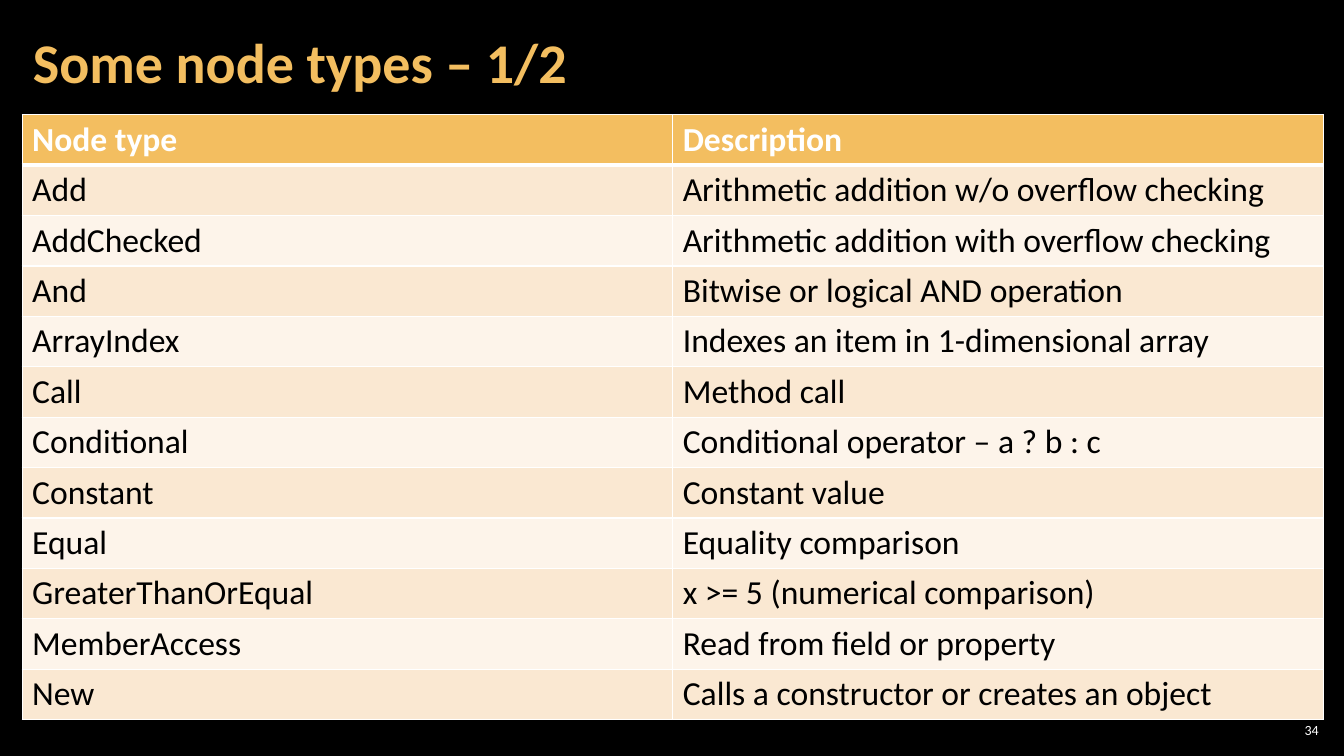
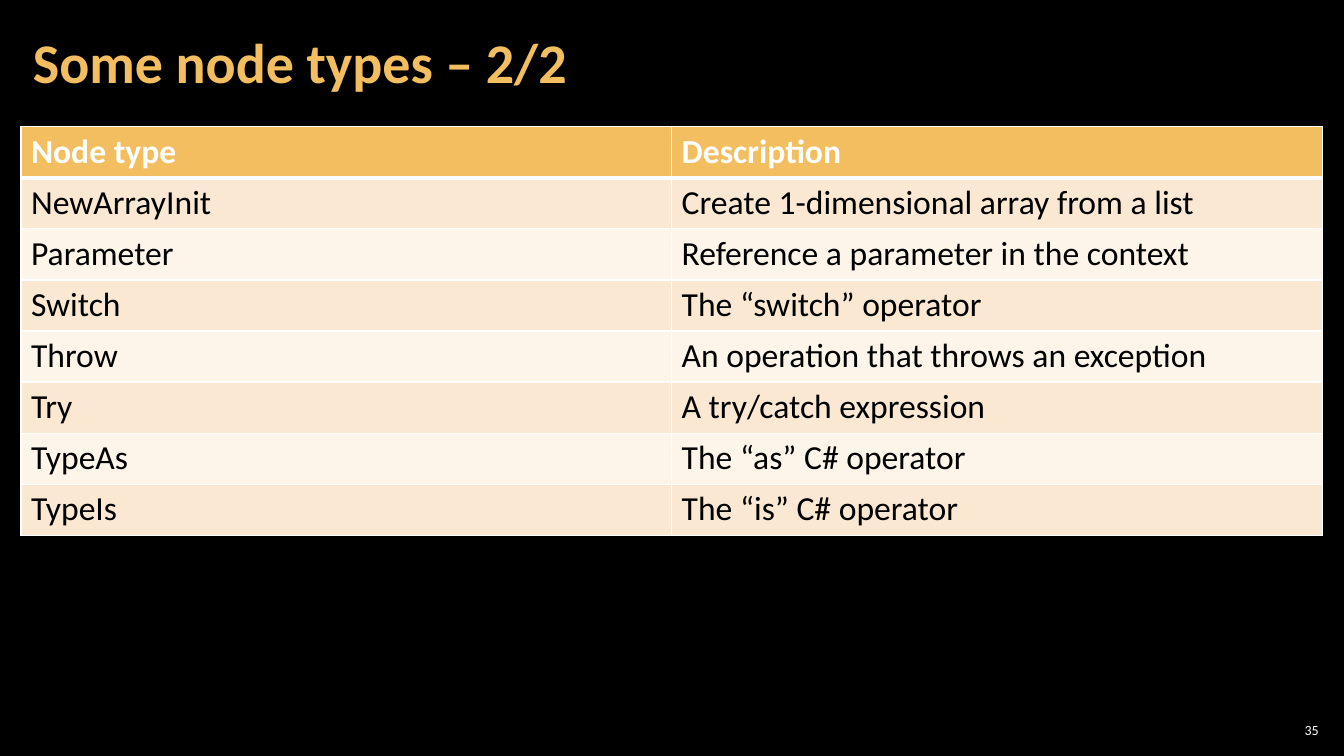
from lxml import etree
from pptx import Presentation
from pptx.dml.color import RGBColor
from pptx.enum.text import MSO_ANCHOR as ANCHOR, PP_ALIGN as ALIGN
from pptx.oxml.ns import qn
from pptx.util import Pt

BLACK = RGBColor(0x00, 0x00, 0x00)
WHITE = RGBColor(0xFF, 0xFF, 0xFF)
GOLD = RGBColor(0xF3, 0xBE, 0x60)
BANDS = (RGBColor(0xFD, 0xF4, 0xEA), RGBColor(0xFA, 0xE8, 0xD2))
FONT = "Calibri"
TITLE_ONLY = 5

HEADER = ("Node type", "Description")
NODES_1 = [
    ("Add", "Arithmetic addition w/o overflow checking"),
    ("AddChecked", "Arithmetic addition with overflow checking"),
    ("And", "Bitwise or logical AND operation"),
    ("ArrayIndex", "Indexes an item in 1-dimensional array"),
    ("Call", "Method call"),
    ("Conditional", "Conditional operator – a ? b : c"),
    ("Constant", "Constant value"),
    ("Equal", "Equality comparison"),
    ("GreaterThanOrEqual", "x >= 5 (numerical comparison)"),
    ("MemberAccess", "Read from field or property"),
    ("New", "Calls a constructor or creates an object"),
]
NODES_2 = [
    ("NewArrayInit", "Create 1-dimensional array from a list"),
    ("Parameter", "Reference a parameter in the context"),
    ("Switch", "The “switch” operator"),
    ("Throw", "An operation that throws an exception"),
    ("Try", "A try/catch expression"),
    ("TypeAs", "The “as” C# operator"),
    ("TypeIs", "The “is” C# operator"),
]


def write(tf, text, size=24, color=BLACK, bold=False, align=ALIGN.LEFT,
          anchor=ANCHOR.MIDDLE, margins=(3, 3), spacing=1.0):
    """Fill a text frame; margins are (sides, top and bottom) in points."""
    tf.word_wrap = True
    tf.vertical_anchor = anchor
    tf.margin_left = tf.margin_right = Pt(margins[0])
    tf.margin_top = tf.margin_bottom = Pt(margins[1])
    p = tf.paragraphs[0]
    p.alignment, p.line_spacing = align, spacing
    r = p.add_run()
    r.text = text
    r.font.name, r.font.size, r.font.bold = FONT, Pt(size), bold
    r.font.color.rgb = color


def set_borders(cell, top, bottom):
    """Draw white cell borders; the side ones are 1 pt wide."""
    tcPr = cell._tc.get_or_add_tcPr()
    for tag, width in (("lnL", 1), ("lnR", 1), ("lnT", top), ("lnB", bottom)):
        ln = etree.SubElement(tcPr, qn(f"a:{tag}"), w=str(Pt(width)))
        fill = etree.SubElement(ln, qn("a:solidFill"))
        etree.SubElement(fill, qn("a:srgbClr"), val=str(WHITE))


class Deck:
    """Shared style plus the slide being built."""

    def __init__(self):
        self.prs = Presentation()
        self.prs.slide_width, self.prs.slide_height = Pt(960), Pt(540)
        bg = self.prs.slide_master.background.fill
        bg.solid()
        bg.fore_color.rgb = BLACK
        self.s = None

    def slide(self, title, number):
        self.s = self.prs.slides.add_slide(self.prs.slide_layouts[TITLE_ONLY])
        self.title(title)
        self.number(number)

    def title(self, text):
        sp = self.s.shapes.title
        sp.left, sp.top, sp.width, sp.height = Pt(15), Pt(3), Pt(754), Pt(87)
        write(sp.text_frame, text, size=40, color=GOLD, bold=True,
              margins=(8.5, 3), spacing=0.9)

    def number(self, number):
        sp = self.s.shapes.add_textbox(Pt(911), Pt(514), Pt(34), Pt(15))
        write(sp.text_frame, str(number), size=10, color=WHITE,
              align=ALIGN.RIGHT)

    def table(self, rows, left, top, row_height, col_width=464.75):
        rows = [HEADER, *rows]
        cols = len(HEADER)
        frame = self.s.shapes.add_table(
            len(rows), cols, Pt(left), Pt(top),
            Pt(col_width * cols), Pt(row_height * len(rows)))
        for col in frame.table.columns:
            col.width = Pt(col_width)
        for i, row in enumerate(rows):
            frame.table.rows[i].height = Pt(row_height)
            for j, text in enumerate(row):
                self.cell(frame.table.cell(i, j), text, i)

    def cell(self, cell, text, i):
        head = i == 0
        # The rule under the header is thicker than the others
        set_borders(cell, top=3 if i == 1 else 1, bottom=3 if head else 1)
        cell.fill.solid()
        cell.fill.fore_color.rgb = GOLD if head else BANDS[i % 2]
        write(cell.text_frame, text, color=WHITE if head else BLACK, bold=head)
        cell.vertical_anchor = ANCHOR.TOP
        cell.margin_left = cell.margin_right = Pt(7.2)
        cell.margin_top = cell.margin_bottom = Pt(3.3)


def main():
    deck = Deck()

    # First half of the node types
    deck.slide("Some node types – 1/2", 34)
    deck.table(NODES_1, left=15.8, top=82, row_height=36)

    # Second half of the node types
    deck.slide("Some node types – 2/2", 35)
    deck.table(NODES_2, left=15, top=90.5, row_height=36.5)

    deck.prs.save("out.pptx")


if __name__ == "__main__":
    main()
